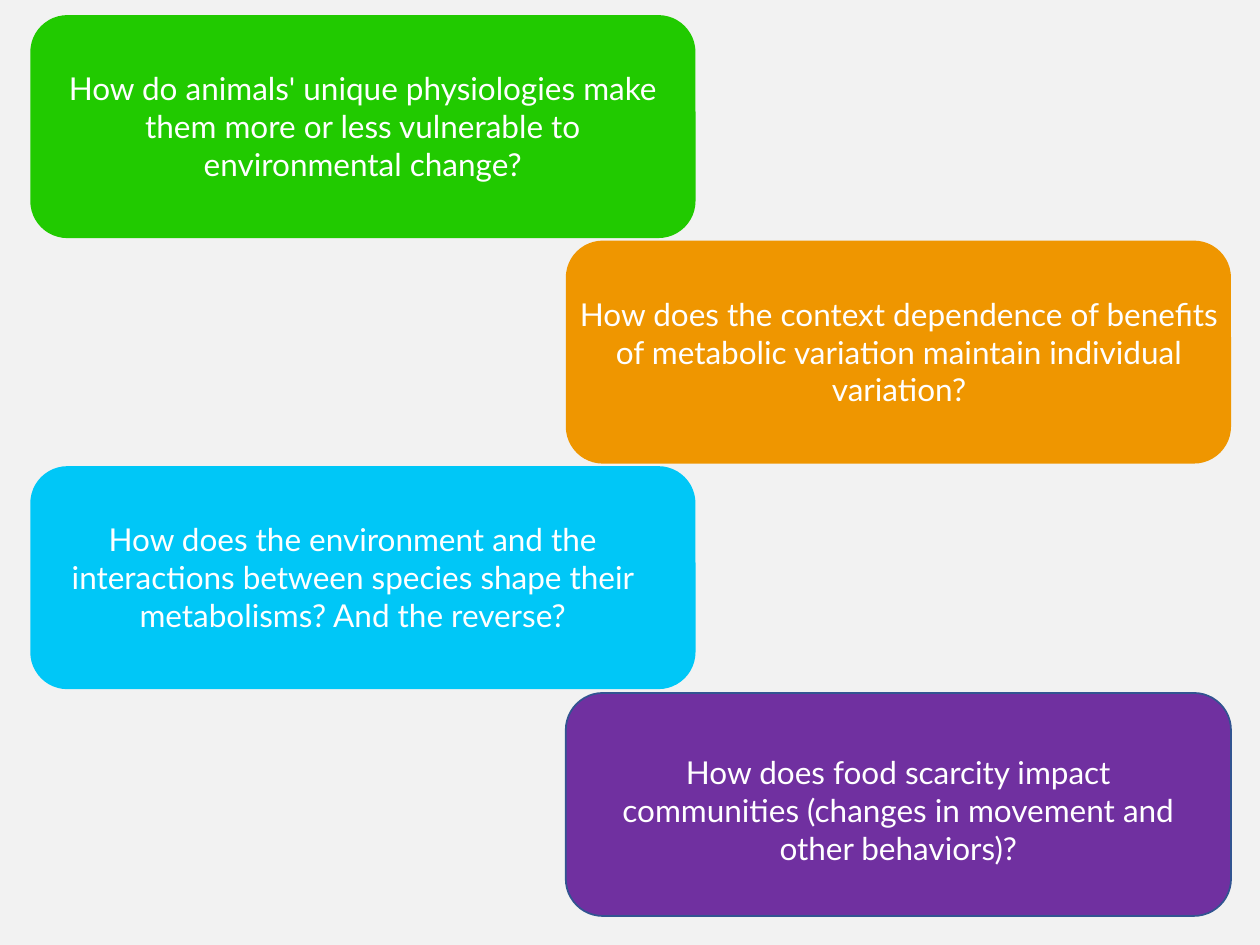
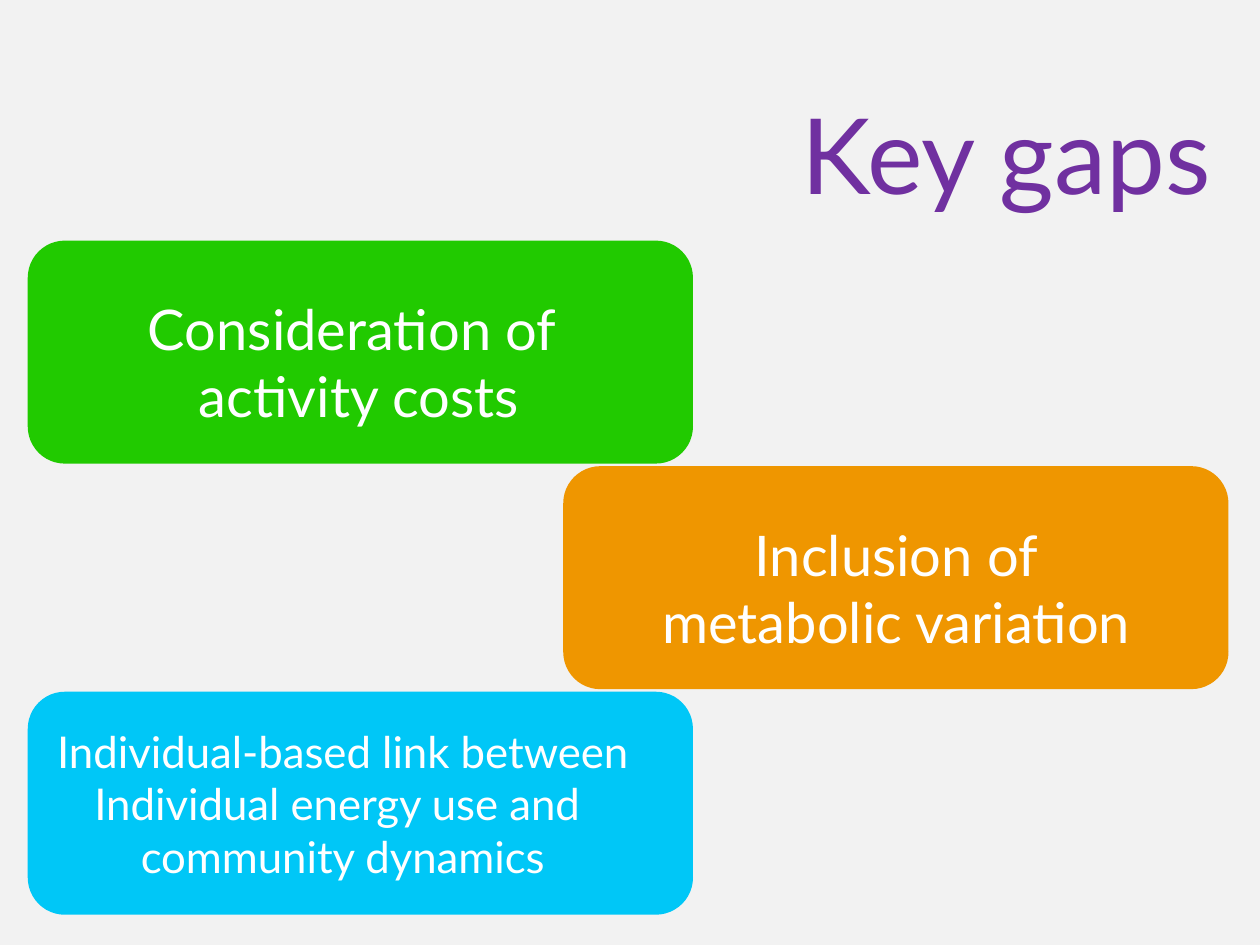
"""Builds two slides of staggered cards: research questions and key gaps."""
from pptx import Presentation
from pptx.dml.color import RGBColor
from pptx.enum.shapes import MSO_SHAPE as Shape
from pptx.enum.text import MSO_ANCHOR as Anchor, MSO_AUTO_SIZE as AutoSize, PP_ALIGN as Align
from pptx.util import Inches, Pt

FONT = "Lato"
BACKGROUND, WHITE = "F2F2F2", "FFFFFF"
GREEN, ORANGE, BLUE, PURPLE, NAVY = "21CA00", "EF9600", "00C7F7", "7030A0", "325491"
CARD_WIDTH, CARD_HEIGHT = 5.28, 1.77
CARD_STEP = 1.79
STAGGER = 4.25

# Each card: fill, outline, size, lines, then label offset (x, y), width and height.
QUESTIONS = [
    (GREEN, None, 18, ["How do animals' unique physiologies make them more or less "
                       "vulnerable to environmental change?"], (0.14, 0.38, 5, 1.01)),
    (ORANGE, None, 18, ["How does the context dependence of benefits of metabolic "
                        "variation maintain individual variation?"], (0, 0.38, 5.29, 1.01)),
    (BLUE, None, 18, ["How does the environment and the interactions between species "
                      "shape their metabolisms? And the reverse?"], (0.06, 0.38, 5, 1.01)),
    (PURPLE, NAVY, 18, ["How does food scarcity impact communities (changes in movement "
                        "and other behaviors)?"], (0.14, 0.43, 5, 1.01)),
]
GAPS_TITLE = "Key gaps"
GAPS = [
    (GREEN, None, 32, ["Consideration of ", "activity costs"], (0.13, 0.38, 5, 1.18)),
    (ORANGE, None, 32, ["Inclusion of", "metabolic variation"], (0, 0.38, 5.29, 1.18)),
    (BLUE, None, 25, ["Individual-based link between", "Individual energy use and ",
                      "community dynamics"], (0, 0.21, 5, 1.36)),
]


def color(code):
    """Turn a hex string into a colour."""
    return RGBColor.from_string(code)


def write(paragraph, text, size, code, align):
    """Add one styled run to a paragraph."""
    paragraph.alignment = align
    run = paragraph.add_run()
    run.text = text
    run.font.name, run.font.size = FONT, Pt(size)
    run.font.color.rgb = color(code)


def add_slide(deck, layout):
    """Add a slide on the shared background."""
    slide = deck.slides.add_slide(deck.slide_layouts.get_by_name(layout))
    slide.background.fill.solid()
    slide.background.fill.fore_color.rgb = color(BACKGROUND)
    return slide


def add_card(slide, left, top, fill, outline, size, lines, label_box):
    """Group a rounded card with its label."""
    group = slide.shapes.add_group_shape()
    card = group.shapes.add_shape(Shape.ROUNDED_RECTANGLE, Inches(left), Inches(top),
                                  Inches(CARD_WIDTH), Inches(CARD_HEIGHT))
    card.shadow.inherit = False
    card.fill.solid()
    card.fill.fore_color.rgb = color(fill)
    if outline:
        card.line.color.rgb = color(outline)
        card.line.width = Pt(1)
    else:
        card.line.fill.background()
    x, y, width, height = label_box
    label = group.shapes.add_textbox(Inches(left + x), Inches(top + y),
                                     Inches(width), Inches(height))
    frame = label.text_frame
    frame.word_wrap = True
    frame.auto_size = AutoSize.SHAPE_TO_FIT_TEXT
    for number, line in enumerate(lines):
        paragraph = frame.add_paragraph() if number else frame.paragraphs[0]
        write(paragraph, line, size, WHITE, Align.CENTER)


def add_cards(slide, left, top, cards, last_drop=0):
    """Stagger cards left and right down the slide, lowering the last if asked."""
    for row, card in enumerate(cards):
        drop = last_drop if row == len(cards) - 1 else 0
        add_card(slide, left + STAGGER * (row % 2), top + CARD_STEP * row + drop, *card)


def add_title(slide, text):
    """Place the title at the upper right."""
    title = slide.shapes.title
    title.left, title.top = Inches(1.09), Inches(0.32)
    title.width, title.height = Inches(8.62), Inches(1.45)
    frame = title.text_frame
    frame.auto_size = AutoSize.NONE
    frame.vertical_anchor = Anchor.BOTTOM
    frame.paragraphs[0].line_spacing = 0.9
    write(frame.paragraphs[0], text, 60, PURPLE, Align.RIGHT)


def main():
    """Build and save the deck."""
    deck = Presentation()
    deck.slide_width, deck.slide_height = Inches(10), Inches(7.5)
    add_cards(add_slide(deck, "Blank"), 0.24, 0.12, QUESTIONS, last_drop=0.01)
    gaps = add_slide(deck, "Title Only")
    add_title(gaps, GAPS_TITLE)
    add_cards(gaps, 0.22, 1.91, GAPS)
    deck.save("out.pptx")


if __name__ == "__main__":
    main()
